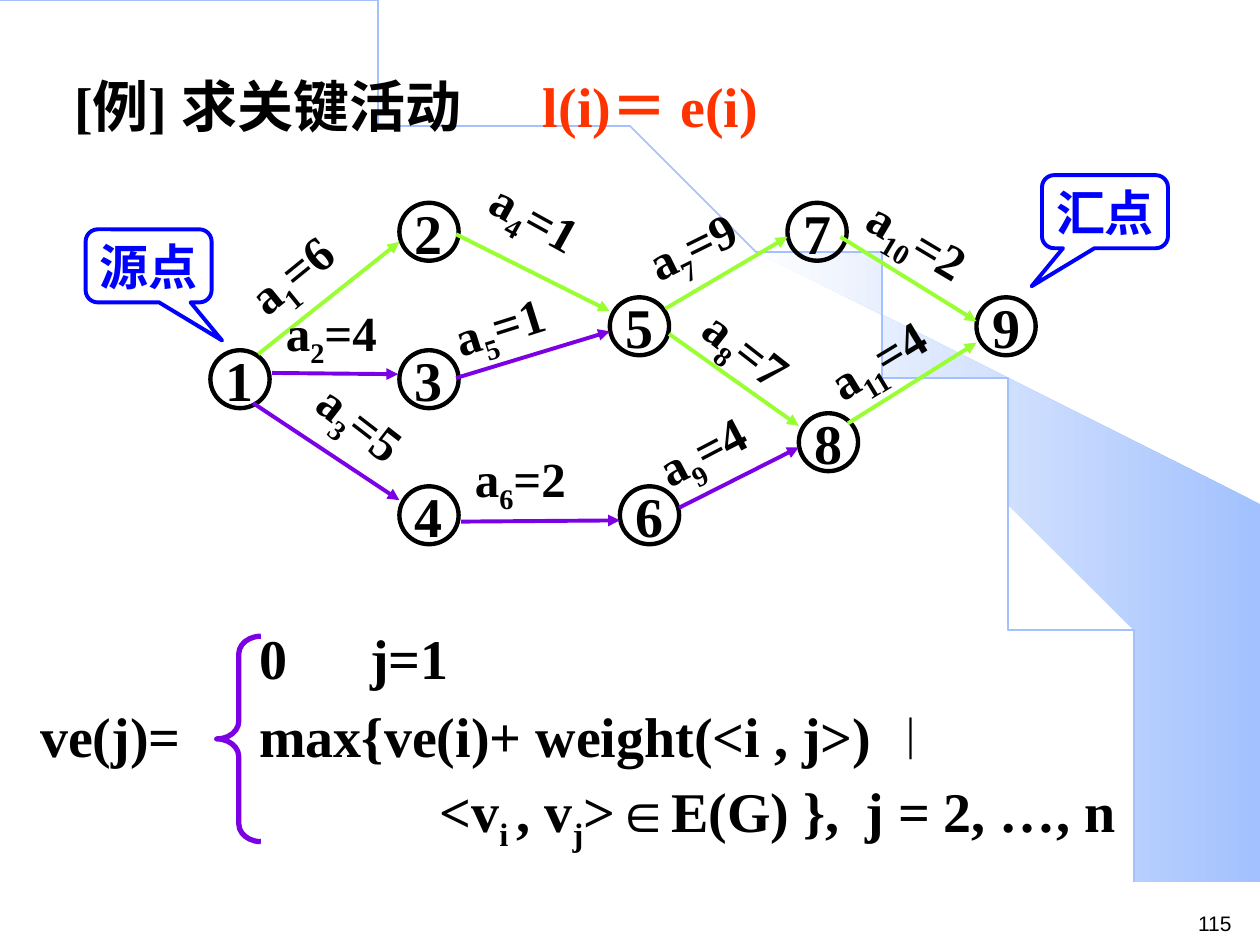
import math

from lxml import etree
from pptx import Presentation
from pptx.dml.color import RGBColor
from pptx.enum.shapes import MSO_CONNECTOR, MSO_SHAPE
from pptx.enum.text import MSO_ANCHOR, PP_ALIGN
from pptx.oxml.ns import qn
from pptx.util import Inches, Pt

STRAIGHT = MSO_CONNECTOR.STRAIGHT
ELLIPSE = MSO_SHAPE.OVAL
CALLOUT = MSO_SHAPE.ROUNDED_RECTANGULAR_CALLOUT
BRACE = MSO_SHAPE.LEFT_BRACE
CENTER, LEFT = PP_ALIGN.CENTER, PP_ALIGN.LEFT
MIDDLE, TOP = MSO_ANCHOR.MIDDLE, MSO_ANCHOR.TOP

COLORS = {
    "black": "000000", "red": "FF3300", "blue": "0000FF", "purple": "7B00E4",
    "green": "99FF33", "sky": "A2C1FE", "pale": "FEFEFE",
}
COLORS = {name: RGBColor.from_string(value) for name, value in COLORS.items()}


def write(frame, spans, size=32, color="black", font="Times New Roman", bold=True,
          align=LEFT, anchor=TOP, margins=(0.1, 0.05), tabs=(), line_spacing=None,
          new_paragraph=False, space_before=0):
    """Write one paragraph; a span is text or (text, overrides), "\\v" breaks the line."""
    frame.word_wrap = True
    frame.vertical_anchor = anchor
    frame.margin_left = frame.margin_right = Inches(margins[0])
    frame.margin_top = frame.margin_bottom = Inches(margins[1])
    para = frame.add_paragraph() if new_paragraph else frame.paragraphs[0]
    para.alignment = align
    para.space_before = Pt(space_before)
    if line_spacing:
        para.line_spacing = line_spacing
    if tabs:
        tab_list = etree.SubElement(para._p.get_or_add_pPr(), qn("a:tabLst"))
        for position in tabs:
            etree.SubElement(tab_list, qn("a:tab"), pos=str(Inches(position)), algn="l")
    for item in spans:
        if item == "\v":
            para.add_line_break()
            continue
        text, changes = (item, {}) if isinstance(item, str) else item
        span = para.add_run()
        span.text = text
        span.font.name = changes.get("font", font)
        span.font.size = Pt(changes.get("size", size))
        span.font.bold = bold
        span.font.color.rgb = COLORS[changes.get("color", color)]
        if changes.get("sub"):
            span.font._element.set("baseline", "-25000")


def outline(shape, color, width):
    shape.shadow.inherit = False
    shape.fill.background()
    shape.line.color.rgb = COLORS[color]
    shape.line.width = Pt(width)


deck = Presentation()
deck.slide_width, deck.slide_height = Inches(10), Inches(7.5)
page = deck.slides.add_slide(deck.slide_layouts[6])
shapes = page.shapes

# Background: shaded wedge and quarter-ellipse arc
wedge_points = [
    (9.2, 7.48), (9.99, 7.49), (9.99, 4.23), (5.89, 1.73), (6.24, 1.99), (6.53, 2.22),
    (6.85, 2.5), (7.16, 2.8), (7.62, 3.3), (8.03, 3.84), (8.32, 4.31), (8.58, 4.79),
    (8.78, 5.28), (8.93, 5.72), (9.03, 6.09), (9.13, 6.56), (9.17, 6.96),
]
builder = shapes.build_freeform(*wedge_points[0], scale=Inches(1))
builder.add_line_segments(wedge_points[1:], close=True)
wedge = builder.convert_to_shape()
wedge.shadow.inherit = False
wedge.line.fill.background()
wedge.fill.gradient()
wedge.fill.gradient_angle = 180
for stop, position, color in zip(wedge.fill.gradient_stops, (0, 1), ("sky", "pale")):
    stop.position = position
    stop.color.rgb = COLORS[color]

arc_points = [(9.2 * math.sin(math.radians(angle)), 7.49 * (1 - math.cos(math.radians(angle))))
              for angle in range(0, 91)]
builder = shapes.build_freeform(*arc_points[0], scale=Inches(1))
builder.add_line_segments(arc_points[1:], close=False)
outline(builder.convert_to_shape(), "sky", 1)

# Title and page number
title = shapes.add_textbox(Inches(0.49), Inches(0.52), Inches(8.99), Inches(0.74))
write(title.text_frame, ["[例] 求关键活动\t", ("l(i)＝ e(i)", {"color": "red"})], tabs=[3.72])
number = shapes.add_textbox(Inches(9.41), Inches(7.18), Inches(0.59), Inches(0.3))
write(number.text_frame, ["115"], size=12, font="Arial", bold=False)

# Event nodes: name, left, top
nodes = [
    ("1", 1.67, 2.78), ("2", 3.17, 1.61), ("3", 3.17, 2.78), ("4", 3.17, 3.86),
    ("5", 4.84, 2.36), ("6", 4.92, 3.86), ("7", 6.25, 1.61), ("8", 6.34, 3.28),
    ("9", 7.75, 2.36),
]
for name, left, top in nodes:
    node = shapes.add_shape(ELLIPSE, Inches(left), Inches(top), Inches(0.47), Inches(0.46))
    outline(node, "black", 2.5)
    write(node.text_frame, [name], align=CENTER, anchor=MIDDLE, margins=(0, 0))

# Activities: weight, label left, label top, label angle, arrow start, arrow end, colour
activities = [
    (6, 1.81, 1.72, -39.1, (2.05, 2.81), (3.17, 1.92), "green"),
    (4, 2.17, 2.35, 0, (2.16, 2.96), (3.16, 2.97), "purple"),
    (5, 2.34, 3.21, 37.7, (2.01, 3.2), (3.17, 3.97), "purple"),
    (1, 3.75, 1.55, 28.9, (3.62, 1.86), (4.84, 2.47), "green"),
    (1, 3.5, 2.22, -17.6, (3.62, 3), (4.84, 2.63), "purple"),
    (2, 3.67, 3.51, 0, (3.66, 4.14), (4.92, 4.13), "purple"),
    (9, 5.02, 1.55, -26.2, (5.28, 2.45), (6.25, 1.88), "green"),
    (7, 5.4, 2.63, 38, (5.31, 2.65), (6.34, 3.38), "green"),
    (4, 5.1, 3.17, -27.6, (5.39, 4.03), (6.34, 3.55), "purple"),
    (2, 6.73, 1.71, 30.9, (6.67, 1.88), (7.75, 2.55), "green"),
    (4, 6.44, 2.46, -31.2, (6.73, 3.36), (7.75, 2.72), "green"),
]
for index, (weight, left, top, angle, start, end, color) in enumerate(activities, 1):
    label = shapes.add_textbox(Inches(left), Inches(top), Inches(1.42), Inches(0.63))
    label.rotation = angle
    write(label.text_frame, ["a", (str(index), {"sub": True}), f"={weight}"], size=28)
    arrow = shapes.add_connector(STRAIGHT, *[Inches(value) for value in start + end])
    arrow.line.color.rgb = COLORS[color]
    arrow.line.width = Pt(2.25)
    etree.SubElement(arrow.line._get_or_add_ln(), qn("a:tailEnd"), type="triangle")
    etree.SubElement(arrow._element.spPr, qn("a:effectLst"))

# Source and sink callouts
for text, left, top, pointer in [("源点", 0.68, 1.82, 0.583), ("汇点", 8.27, 1.39, -0.583)]:
    callout = shapes.add_shape(CALLOUT, Inches(left), Inches(top), Inches(1), Inches(0.58))
    callout.adjustments[0] = pointer
    callout.adjustments[1] = 1.021
    outline(callout, "blue", 2.25)
    write(callout.text_frame, [text], size=28, color="blue", align=CENTER,
          anchor=MIDDLE, margins=(0, 0))

# Formula for the earliest event time
brace = shapes.add_shape(BRACE, Inches(1.72), Inches(5.05), Inches(0.35), Inches(1.63))
brace.adjustments[0] = 0.4
outline(brace, "purple", 3)
left_side = shapes.add_textbox(Inches(0.22), Inches(5.52), Inches(1.54), Inches(0.64))
write(left_side.text_frame, ["ve(j)="])
cases = shapes.add_textbox(Inches(1.96), Inches(4.85), Inches(7.61), Inches(2.64))
write(cases.text_frame, ["0\tj=1"], tabs=[0.88], line_spacing=1.1)
write(cases.text_frame, [
    "max{ve(i)+ weight(<i , j>) ", ("︱", {"size": 28, "font": "Arial"}), "\v",
    "\t<v", ("i ", {"sub": True}), ", v", ("j", {"sub": True}), ">∈E(G) },\tj = 2, …, n",
], tabs=[1.43, 4.81], line_spacing=1.1, new_paragraph=True, space_before=2)

deck.save("out.pptx")
